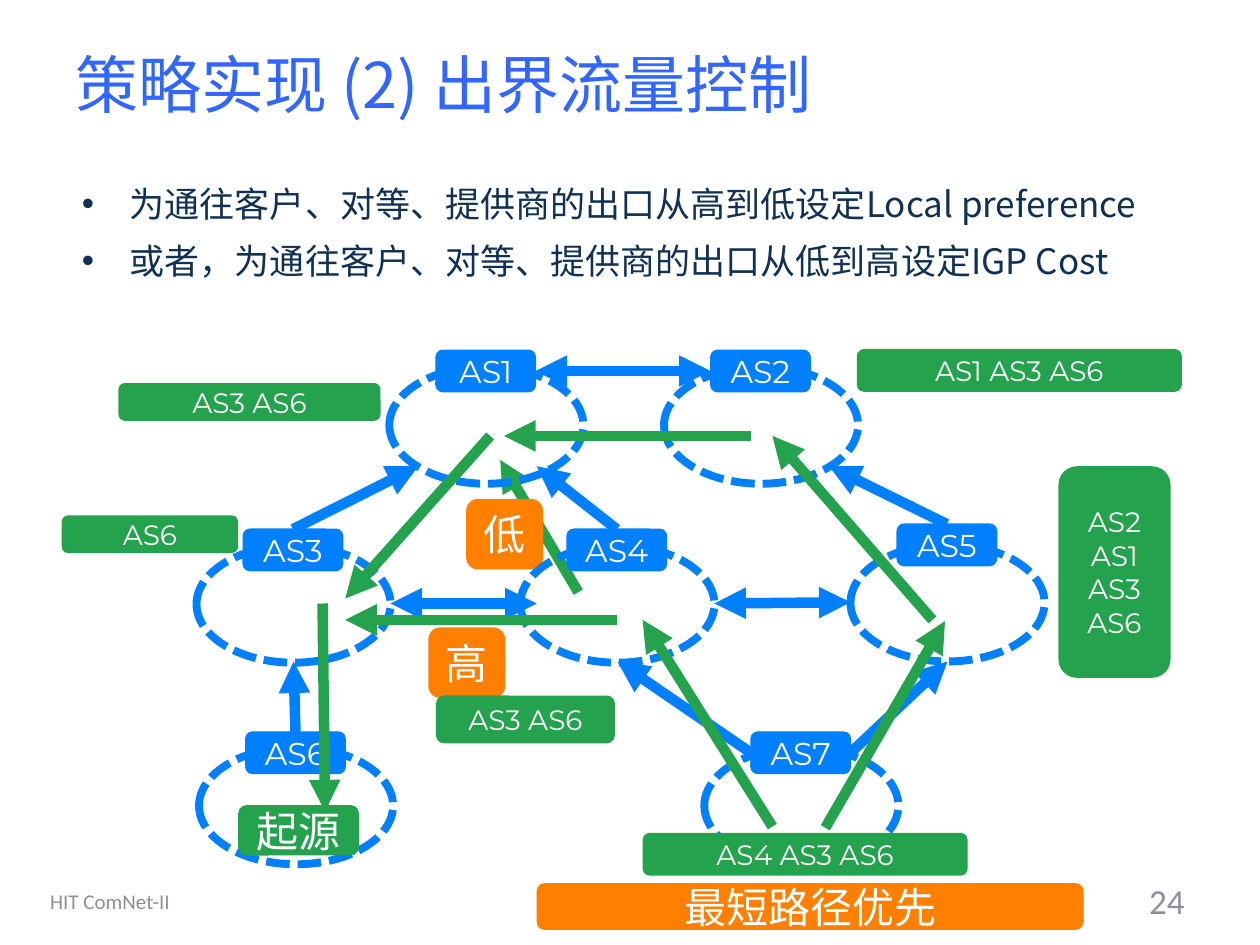
from lxml.etree import SubElement
from pptx import Presentation
from pptx.dml.color import RGBColor
from pptx.enum.dml import MSO_LINE
from pptx.enum.shapes import MSO_CONNECTOR, MSO_SHAPE
from pptx.enum.text import MSO_ANCHOR, MSO_AUTO_SIZE, PP_ALIGN
from pptx.oxml.ns import qn
from pptx.util import Inches, Pt

BLUE, GREEN, ORANGE = "0080FF", "25A24E", "FF7F01"
TITLE_BLUE, NAVY, GRAY, WHITE = "3366FF", "103154", "8C9099", "FFFFFF"
CHINESE, LATIN, FOOTER = "Noto Sans CJK SC", "Montserrat", "Calibri"
TOP, LEFT, RIGHT = 0, 1, 3


def color(value):
    return RGBColor.from_string(value)


class SlideBuilder:
    def __init__(self, deck):
        self.page = deck.slides.add_slide(deck.slide_layouts[1])
        self.shapes = self.page.shapes

    def place(self, box, left, top, width, height):
        box.left, box.top = Inches(left), Inches(top)
        box.width, box.height = Inches(width), Inches(height)

    def style(self, para, size, font, ink, align=PP_ALIGN.LEFT):
        para.alignment = align
        for run in para.runs:
            run.font.size = Pt(size)
            run.font.name = font
            run.font.color.rgb = color(ink)
            SubElement(run.font._element, qn("a:ea"), typeface=font)

    def title(self, text, *bounds):
        box = self.shapes.title
        self.place(box, *bounds)
        frame = box.text_frame
        frame.text = text
        frame.vertical_anchor = MSO_ANCHOR.MIDDLE
        frame.auto_size = MSO_AUTO_SIZE.NONE
        self.style(frame.paragraphs[0], 36, CHINESE, TITLE_BLUE)

    def bullets(self, lines, *bounds):
        box = self.page.placeholders[1]
        self.place(box, *bounds)
        frame = box.text_frame
        frame.text = "\n".join(lines)
        frame.auto_size = MSO_AUTO_SIZE.NONE
        for index, para in enumerate(frame.paragraphs):
            para.line_spacing = 1.2
            para.space_before = Pt(4 if index else 0)
            properties = para._p.get_or_add_pPr()
            properties.set("marL", str(Inches(0.38)))
            properties.set("indent", str(Inches(-0.38)))
            SubElement(properties, qn("a:buChar"), char="•")
            self.style(para, 20, CHINESE, NAVY)

    def caption(self, text, left, top, width, height, size, align):
        box = self.shapes.add_textbox(Inches(left), Inches(top), Inches(width), Inches(height))
        frame = box.text_frame
        frame.word_wrap = True
        frame.vertical_anchor = MSO_ANCHOR.MIDDLE
        frame.text = text
        self.style(frame.paragraphs[0], size, FOOTER, GRAY, align)

    def label(self, text, left, top, width, height, fill, size, font):
        box = self.shapes.add_shape(
            MSO_SHAPE.ROUNDED_RECTANGLE, Inches(left), Inches(top), Inches(width), Inches(height))
        box.shadow.inherit = False
        box.fill.solid()
        box.fill.fore_color.rgb = color(fill)
        box.line.fill.background()
        frame = box.text_frame
        frame.word_wrap = True
        frame.margin_top = frame.margin_bottom = 0
        frame.margin_left = frame.margin_right = Inches(0.05)
        frame.vertical_anchor = MSO_ANCHOR.MIDDLE
        frame.text = text
        self.style(frame.paragraphs[0], size, font, WHITE, PP_ALIGN.CENTER)
        return box

    def network(self, name, left, top, tag_top):
        cloud = self.shapes.add_shape(
            MSO_SHAPE.OVAL, Inches(left), Inches(top), Inches(1.54), Inches(0.93))
        cloud.shadow.inherit = False
        cloud.fill.background()
        cloud.line.color.rgb = color(BLUE)
        cloud.line.width = Pt(4.5)
        cloud.line.dash_style = MSO_LINE.SQUARE_DOT
        tag = self.label(name, left + 0.37, tag_top, 0.79, 0.33, BLUE, 18, LATIN)
        tag.line.color.rgb = color(BLUE)
        tag.line.width = Pt(0.75)
        return tag

    def arrow(self, head, tail, ink, both=False):
        line = self.shapes.add_connector(
            MSO_CONNECTOR.STRAIGHT, *(Inches(value) for value in (*head, *tail)))
        line.line.color.rgb = color(ink)
        line.line.width = Pt(6)
        SubElement(line._element.spPr, qn("a:effectLst"))
        outline = line.line._get_or_add_ln()
        for end in ("a:headEnd", "a:tailEnd") if both else ("a:headEnd",):
            SubElement(outline, qn(end), type="triangle")
        return line


def main():
    deck = Presentation()
    deck.slide_width, deck.slide_height = Inches(10), Inches(7.5)
    slide = SlideBuilder(deck)

    slide.title("策略实现 (2) 出界流量控制", 0.5, 0.04, 9, 1.25)
    slide.bullets(["为通往客户、对等、提供商的出口从高到低设定Local preference",
                   "或者，为通往客户、对等、提供商的出口从低到高设定IGP Cost"],
                  0.55, 1.33, 9, 0.96)
    slide.caption("HIT ComNet-II", 0.3, 6.95, 3.17, 0.4, 12, PP_ALIGN.LEFT)
    slide.caption("24", 7.17, 6.95, 2.33, 0.4, 20, PP_ALIGN.RIGHT)

    slide.arrow((3.97, 3.65), (4.59, 4.7), GREEN)
    slide.label("高", 3.4, 4.98, 0.61, 0.56, ORANGE, 24, CHINESE)
    slide.label("低", 3.7, 3.96, 0.61, 0.56, ORANGE, 24, CHINESE)

    networks = [("AS2", 5.27, 2.91, 2.78), ("AS1", 3.09, 2.91, 2.78),
                ("AS3", 1.56, 4.33, 4.2), ("AS4", 4.13, 4.33, 4.2),
                ("AS5", 6.75, 4.32, 4.16), ("AS6", 1.58, 5.93, 5.81),
                ("AS7", 5.59, 5.93, 5.81)]
    tags = {network[0]: slide.network(*network) for network in networks}

    uplinks = [((2.33, 5.25), "AS6", TOP), ((4.9, 5.25), "AS7", LEFT),
               ((7.52, 5.25), "AS7", RIGHT), ((6.58, 3.7), "AS5", TOP),
               ((4.26, 3.7), "AS4", TOP), ((3.32, 3.7), "AS3", TOP)]
    for head, name, side in uplinks:
        slide.arrow(head, head, BLUE).end_connect(tags[name], side)

    top_peering = slide.arrow((4.26, 2.95), (5.64, 2.95), BLUE, both=True)
    top_peering.begin_connect(tags["AS1"], RIGHT)
    top_peering.end_connect(tags["AS2"], LEFT)
    slide.arrow((3.1, 4.79), (4.26, 4.79), BLUE, both=True)
    slide.arrow((5.67, 4.79), (6.75, 4.78), BLUE, both=True)

    slide.label("起源", 1.89, 6.39, 0.96, 0.4, GREEN, 24, CHINESE)
    routes = [((2.58, 6.44), (2.56, 4.79)), ((2.74, 4.75), (3.89, 3.46)),
              ((2.74, 4.92), (4.9, 4.92)), ((4, 3.46), (5.96, 3.46)),
              ((5.1, 4.92), (6.13, 6.56)), ((6.13, 3.46), (7.4, 4.92))]
    for head, tail in routes:
        slide.arrow(head, tail, GREEN)

    paths = [("AS6", 0.49, 4.09, 1.4, 0.3), ("AS3 AS6", 0.94, 3.04, 2.08, 0.3),
             ("AS1 AS3 AS6", 6.8, 2.77, 2.58, 0.34),
             ("AS2 AS1 AS3 AS6", 8.4, 3.7, 0.89, 1.68),
             ("AS3 AS6", 3.46, 5.52, 1.42, 0.38),
             ("AS4 AS3 AS6", 5.1, 6.61, 2.58, 0.34)]
    for path in paths:
        slide.label(*path, GREEN, 16, LATIN)
    slide.label("最短路径优先", 4.26, 7.01, 4.34, 0.37, ORANGE, 24, CHINESE)
    slide.arrow((7.5, 4.93), (6.55, 6.57), GREEN)

    deck.save("out.pptx")


if __name__ == "__main__":
    main()
